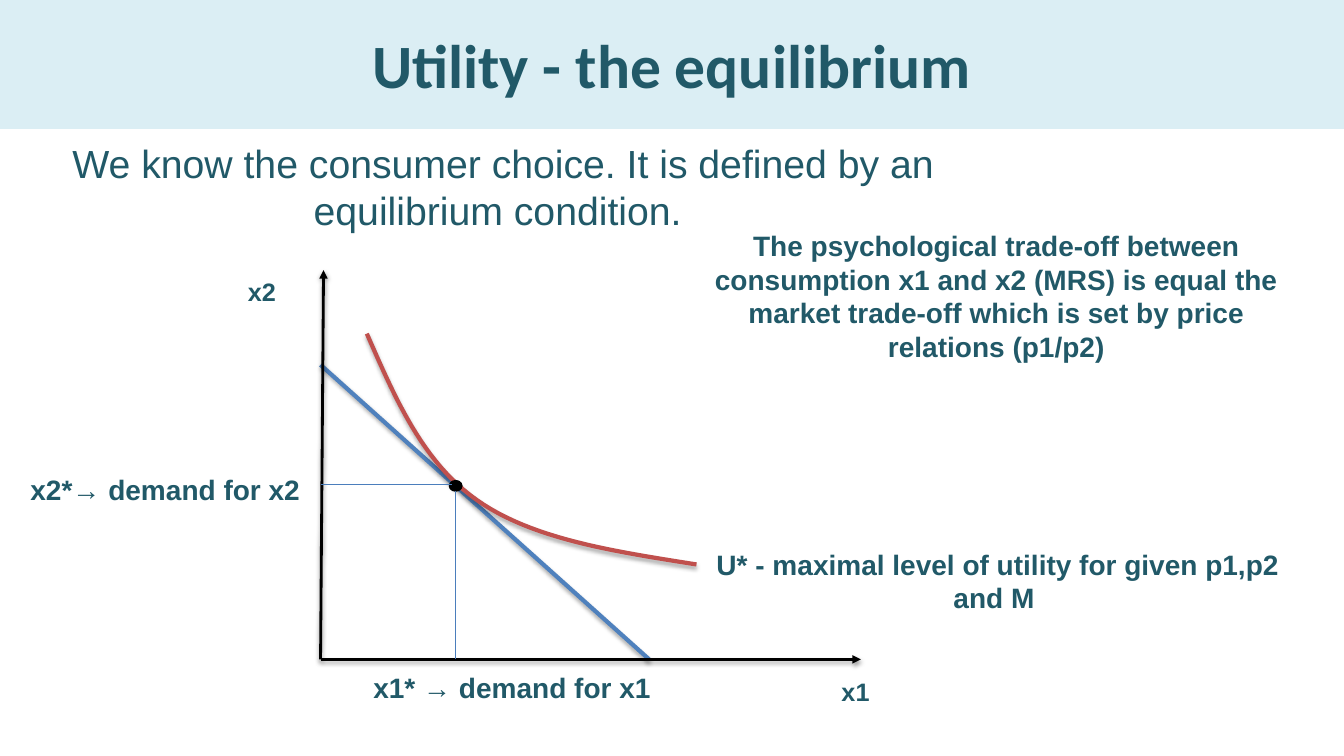
"""Build the slide on the consumer's utility equilibrium."""
from lxml import etree
from pptx import Presentation
from pptx.dml.color import RGBColor
from pptx.enum.shapes import MSO_CONNECTOR, MSO_SHAPE
from pptx.enum.text import MSO_ANCHOR, MSO_AUTO_SIZE, PP_ALIGN
from pptx.oxml.ns import qn
from pptx.util import Inches, Pt

LINE = MSO_CONNECTOR.STRAIGHT
OVAL = MSO_SHAPE.OVAL
MIDDLE = MSO_ANCHOR.MIDDLE
FIXED = MSO_AUTO_SIZE.NONE
CENTER = PP_ALIGN.CENTER
LEFT = PP_ALIGN.LEFT

COLS, ROWS = 160, 90
STEPS = 24
INK = {"text": "215968", "band": "DBEEF4", "budget": "4F81BD",
       "curve": "C0504D", "guide": "4B7EBC", "axis": "000000"}
FORMAT = {
    "title": {"name": "Calibri", "size": Pt(44), "bold": True},
    "intro": {"name": "Arial", "size": Pt(28), "bold": False},
    "note": {"name": "Arial", "size": Pt(20), "bold": True},
    "label": {"name": "Arial", "size": Pt(18), "bold": True},
}
SOFT = {"alpha": 35, "dist": 1.8}
FIRM = {"alpha": 38, "dist": 1.6}


def bezier(start, *ends):
    """Return points along a chain of cubic curves."""
    points = [start]
    for a, b, c in zip(ends[::3], ends[1::3], ends[2::3]):
        first = points[-1]
        for step in range(1, STEPS + 1):
            t = step / STEPS
            u = 1 - t
            points.append(tuple(
                u**3 * p + 3 * u * u * t * q + 3 * u * t * t * r + t**3 * s
                for p, q, r, s in zip(first, a, b, c)))
    return points


class Board:
    """Hold the style and the current slide."""

    def __init__(self, deck):
        self.wide, self.high = deck.slide_width, deck.slide_height
        self.slide = deck.slides.add_slide(deck.slide_layouts[5])
        self.shapes = self.slide.shapes

    def place(self, *spots):
        """Turn columns and rows into lengths."""
        units = (self.wide / COLS, self.high / ROWS)
        return [round(spot * units[i % 2]) for i, spot in enumerate(spots)]

    def color(self, name):
        """Look up a colour by name."""
        return RGBColor.from_string(INK[name])

    def fill(self, frame, words, style, align=CENTER):
        """Fill a text frame in one style."""
        frame.word_wrap = True
        frame.auto_size = FIXED
        para = frame.paragraphs[0]
        para.alignment = align
        run = para.add_run()
        run.text = words
        for key, value in FORMAT[style].items():
            setattr(run.font, key, value)
        run.font.color.rgb = self.color("text")

    def title(self, words, *box):
        """Set the title band."""
        band = self.shapes.title
        for key, value in zip(("left", "top", "width", "height"), self.place(*box)):
            setattr(band, key, value)
        band.fill.solid()
        band.fill.fore_color.rgb = self.color("band")
        band.text_frame.vertical_anchor = MIDDLE
        self.fill(band.text_frame, words, "title")

    def text(self, words, style, *box, align=CENTER):
        """Add a text box."""
        frame = self.shapes.add_textbox(*self.place(*box)).text_frame
        self.fill(frame, words, style, align)

    def stroke(self, shape, ink, width, shade=None, arrow=False):
        """Style an outline with its shadow and arrowhead."""
        shape.line.color.rgb = self.color(ink)
        shape.line.width = Pt(width)
        props = shape._element.spPr
        if arrow:
            etree.SubElement(props.find(qn("a:ln")), qn("a:tailEnd"), type="triangle")
        effects = etree.SubElement(props, qn("a:effectLst"))
        if shade:
            cast = etree.SubElement(
                effects, qn("a:outerShdw"), blurRad=str(Pt(3.1)),
                dist=str(Pt(shade["dist"])), dir="5400000", rotWithShape="0")
            tone = etree.SubElement(cast, qn("a:srgbClr"), val=INK["axis"])
            etree.SubElement(tone, qn("a:alpha"), val=str(shade["alpha"] * 1000))

    def line(self, ends, *style, **more):
        """Add a straight line."""
        self.stroke(self.shapes.add_connector(LINE, *self.place(*ends)), *style, **more)

    def curve(self, points, *style):
        """Add an open curve."""
        first, *rest = [self.place(*point) for point in points]
        pen = self.shapes.build_freeform(*first)
        pen.add_line_segments(rest, close=False)
        shape = pen.convert_to_shape()
        shape.fill.background()
        self.stroke(shape, *style)

    def dot(self, *box):
        """Add a solid dot."""
        shape = self.shapes.add_shape(OVAL, *self.place(*box))
        shape.fill.solid()
        shape.fill.fore_color.rgb = self.color("axis")
        self.stroke(shape, "axis", 1.25)


def main():
    """Draw the slide and save it."""
    deck = Presentation()
    deck.slide_width, deck.slide_height = Inches(13.33), Inches(7.5)
    board = Board(deck)
    board.title("Utility - the equilibrium", 0, -0.24, COLS, 15.6)
    board.text("We know the consumer choice. It is defined by an equilibrium condition. ",
               "intro", 2.16, 15.96, 115.44, 12.48)
    board.text("The psychological trade-off between consumption x1 and x2 (MRS) is equal "
               "the market trade-off which is set by price relations (p1/p2)",
               "note", 83.64, 26.64, 69.96, 17.4)

    left, base = 38.16, 78.5
    board.line((left, 43.44, 77.28, base), "budget", 3, SOFT)
    board.curve(bezier((43.68, 39.72), (47.04, 47.4), (50.28, 54.96), (56.76, 59.52),
                       (63.36, 64.2), (73.08, 65.64), (82.92, 67.2)), "curve", 3, SOFT)
    board.dot(53.52, 57.24, 1.44, 1.2)
    for tip in ((102.48, base), (38.52, 32.16)):
        board.line((left, base, *tip), "axis", 2, FIRM, arrow=True)
    for ends in ((54.24, 58.44, 54.24, base), (53.76, 57.72, left, 57.72)):
        board.line(ends, "guide", 0.75)

    for words, box in (
            ("x1* → demand for x1", (41.28, 79.2, 39.36, 4.32)),
            ("x2*→ demand for x2", (1.2, 55.68, 36.96, 5.28)),
            ("U* - maximal level of utility for given p1,p2 and M ",
             (83.64, 64.56, 70.32, 9.24))):
        board.text(words, "note", *box)
    for words, box in (("x1", (99, 79.92, 7.08, 4.8)), ("x2", (28.32, 32.28, 7.56, 4.8))):
        board.text(words, "label", *box, align=LEFT)
    deck.save("out.pptx")


if __name__ == "__main__":
    main()
